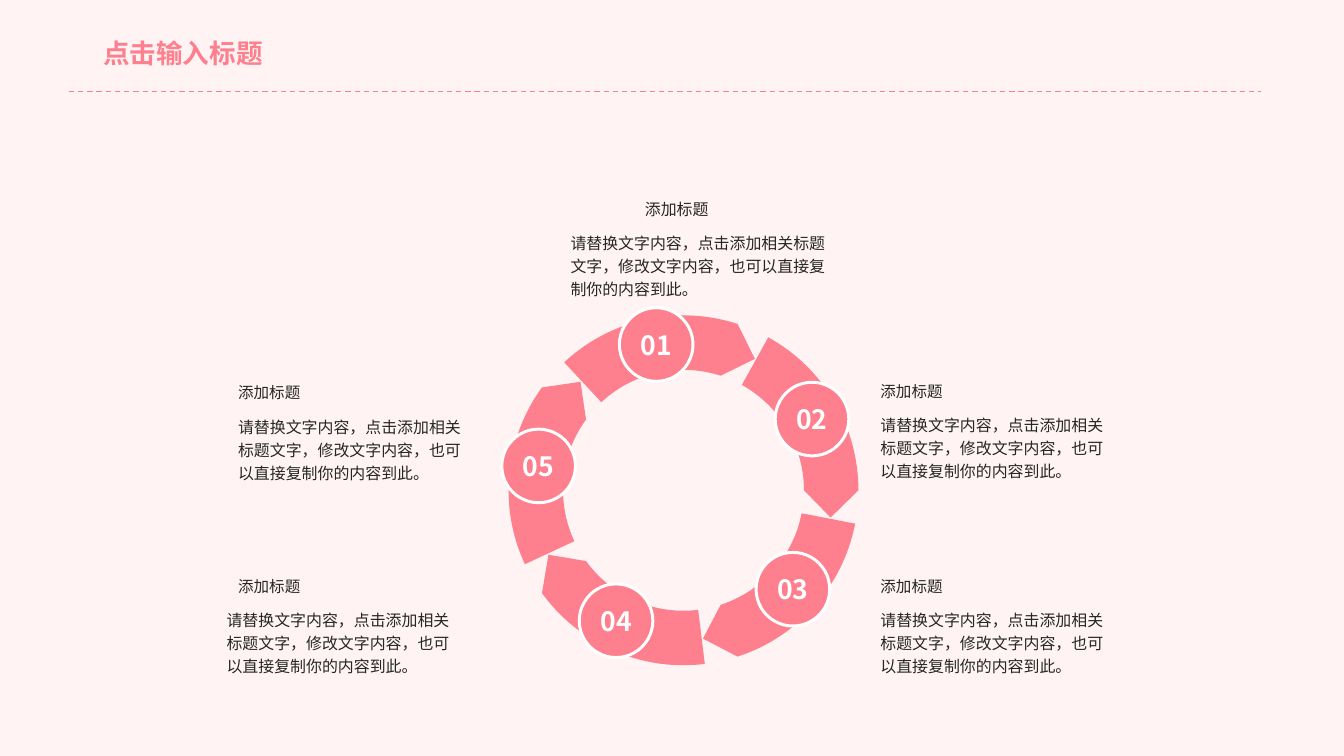
from math import cos, radians, sin, tan

from lxml import etree
from pptx import Presentation
from pptx.dml.color import RGBColor
from pptx.enum.dml import MSO_LINE_DASH_STYLE as DASH
from pptx.enum.shapes import MSO_CONNECTOR as CONN, MSO_SHAPE as SHAPE
from pptx.enum.text import MSO_ANCHOR as ANCHOR, MSO_AUTO_SIZE as FIT, PP_ALIGN as ALIGN
from pptx.oxml.ns import qn
from pptx.util import Pt

PX = 9144
FONT = "Noto Sans CJK SC"
PINK, INK, WHITE, BLUSH = "FE7F8D", "262626", "FFFFFF", "FFF4F3"
HEADING = "添加标题"
BODY = "请替换文字内容，点击添加相关标题文字，修改文字内容，也可以直接复制你的内容到此。"
STEP, SWEEP, FIRST_START = 72, 61, -43
BADGE_OFFSETS = [(116, -8), (279, 70), (259, 248), (74, 281), (-7, 119)]
SIDE_CAPTIONS = [
    ((209, 393), (40, 23), 0),
    ((898, 391), (23, 40), 0),
    ((898, 595), (23, 40), 0),
    ((209, 595), (40, 23), -12),
]


def px(*values):
    """Turn px lengths into EMU."""
    return [round(v * PX) for v in values]


def paint(fmt, color):
    """Give a fill a solid hex colour."""
    fmt.solid()
    fmt.fore_color.rgb = RGBColor.from_string(color)


def write(sp, text, size, color=INK, bold=False, insets=(0, 0, 0, 0), spacing=None,
          align=ALIGN.LEFT, anchor=ANCHOR.TOP, wrap=True):
    """Put one formatted paragraph into a shape."""
    tf = sp.text_frame
    left, top, right, bottom = px(*insets)
    frame = dict(margin_left=left, margin_top=top, margin_right=right, margin_bottom=bottom,
                 word_wrap=wrap, auto_size=FIT.NONE, vertical_anchor=anchor)
    for key, value in frame.items():
        setattr(tf, key, value)
    p = tf.paragraphs[0]
    p.alignment, p.line_spacing = align, spacing
    r = p.add_run()
    r.text = text
    paint(r.font.fill, color)
    for key, value in dict(size=Pt(size), bold=bold, name=FONT).items():
        setattr(r.font, key, value)
    etree.SubElement(r.font._element, qn("a:ea"), typeface=FONT)


def add_text(slide, box, text, size, **style):
    """Add a text box with caption line spacing."""
    write(slide.shapes.add_textbox(*px(*box)), text, size, spacing=1.2, **style)


def add_header(slide, box):
    """Place the title and the dashed rule under it."""
    x, y, w, h = box
    title = slide.shapes.title
    title.left, title.top, title.width, title.height = px(x + 25, y + 1, 190, 44)
    write(title, "点击输入标题", 20, PINK, True, (11, 5, 11, 5), wrap=False)
    rule = slide.shapes.add_connector(CONN.STRAIGHT, *px(x, y + h, x + w, y + h))
    paint(rule.line.fill, PINK)
    rule.line.width, rule.line.dash_style = Pt(1), DASH.DASH
    etree.SubElement(rule._element.spPr, qn("a:effectLst"))


def polar(center, radius, angle, along=0):
    """Find a point clockwise from the top, moved along the tangent."""
    a = radians(angle)
    return px(center[0] + radius * sin(a) + along * cos(a),
              center[1] - radius * cos(a) + along * sin(a))


def bend(sp, line, center, radius, a, b):
    """Turn a straight path step into an arc from angle a to angle b."""
    handle = 4 / 3 * tan(radians(b - a) / 4) * radius
    curve = etree.Element(qn("a:cubicBezTo"))
    for x, y in (polar(center, radius, a, handle), polar(center, radius, b, -handle)):
        etree.SubElement(curve, qn("a:pt"), x=str(x - sp.left), y=str(y - sp.top))
    line.getparent().replace(line, curve)
    curve.append(line[0])


def add_arrow(slide, center, outer, inner, start):
    """Draw one curved arrow of the ring."""
    end = start + SWEEP
    stops = [start] + [a for a in range(0, 360, 90) if start < a < end] + [end]
    points = [polar(center, outer, a) for a in stops]
    points.append(polar(center, (outer + inner) / 2 + 2, start + STEP - 0.5))
    points += [polar(center, inner, a) for a in (end, start)]
    builder = slide.shapes.build_freeform(*points[0], scale=1.0)
    builder.add_line_segments(points[1:], close=True)
    sp = builder.convert_to_shape()
    lines = list(sp._element.iter(qn("a:lnTo")))
    for line, a, b in zip(lines, stops, stops[1:]):
        bend(sp, line, center, outer, a, b)
    bend(sp, lines[len(points) - 2], center, inner, end, start)
    sp.shadow.inherit = False
    paint(sp.fill, PINK)
    sp.line.fill.background()


def add_badge(slide, box, text):
    """Draw a numbered circle."""
    sp = slide.shapes.add_shape(SHAPE.OVAL, *px(*box))
    sp.shadow.inherit = False
    paint(sp.fill, PINK)
    paint(sp.line.fill, WHITE)
    sp.line.width = Pt(2.25)
    write(sp, text, 20, WHITE, True, align=ALIGN.CENTER, anchor=ANCHOR.MIDDLE, wrap=False)


def add_ring(slide, box):
    """Fill a square box with five arrows and their badges."""
    x, y, size = box
    outer, inner = size / 2, size / 2 - 57
    center = x + outer, y + outer
    for i in range(len(BADGE_OFFSETS)):
        add_arrow(slide, center, outer, inner, FIRST_START + i * STEP)
    for number, (dx, dy) in enumerate(BADGE_OFFSETS, 1):
        add_badge(slide, (x + dx, y + dy, 77, 77), f"{number:02}")


def add_side_caption(slide, origin, margins, shift):
    """Place a heading and text beside the ring."""
    x, y = origin
    left, right = margins
    insets = left, 0, right, 0
    add_text(slide, (x, y, 301, 32), HEADING, 11.7, insets=insets, anchor=ANCHOR.MIDDLE)
    add_text(slide, (x + shift, y + 40, 311, 57), BODY, 12, insets=insets)


def add_top_caption(slide, box):
    """Place a centred heading and text above the ring."""
    x, y, w, h = box
    add_text(slide, (x, y, 242, 38), HEADING, 12, align=ALIGN.CENTER, anchor=ANCHOR.BOTTOM)
    add_text(slide, (x, y + 45, w, h - 45), BODY, 12, insets=(10, 5, 10, 5))


def main():
    """Build the slide and save it."""
    prs = Presentation()
    prs.slide_width, prs.slide_height = px(1406, 791)
    slide = prs.slides.add_slide(prs.slide_layouts[5])
    paint(slide.background.fill, BLUSH)
    add_header(slide, (72, 33, 1247, 63))
    add_ring(slide, (532, 330, 366))
    for caption in SIDE_CAPTIONS:
        add_side_caption(slide, *caption)
    add_top_caption(slide, (587, 191, 300, 106))
    prs.save("out.pptx")


if __name__ == "__main__":
    main()
